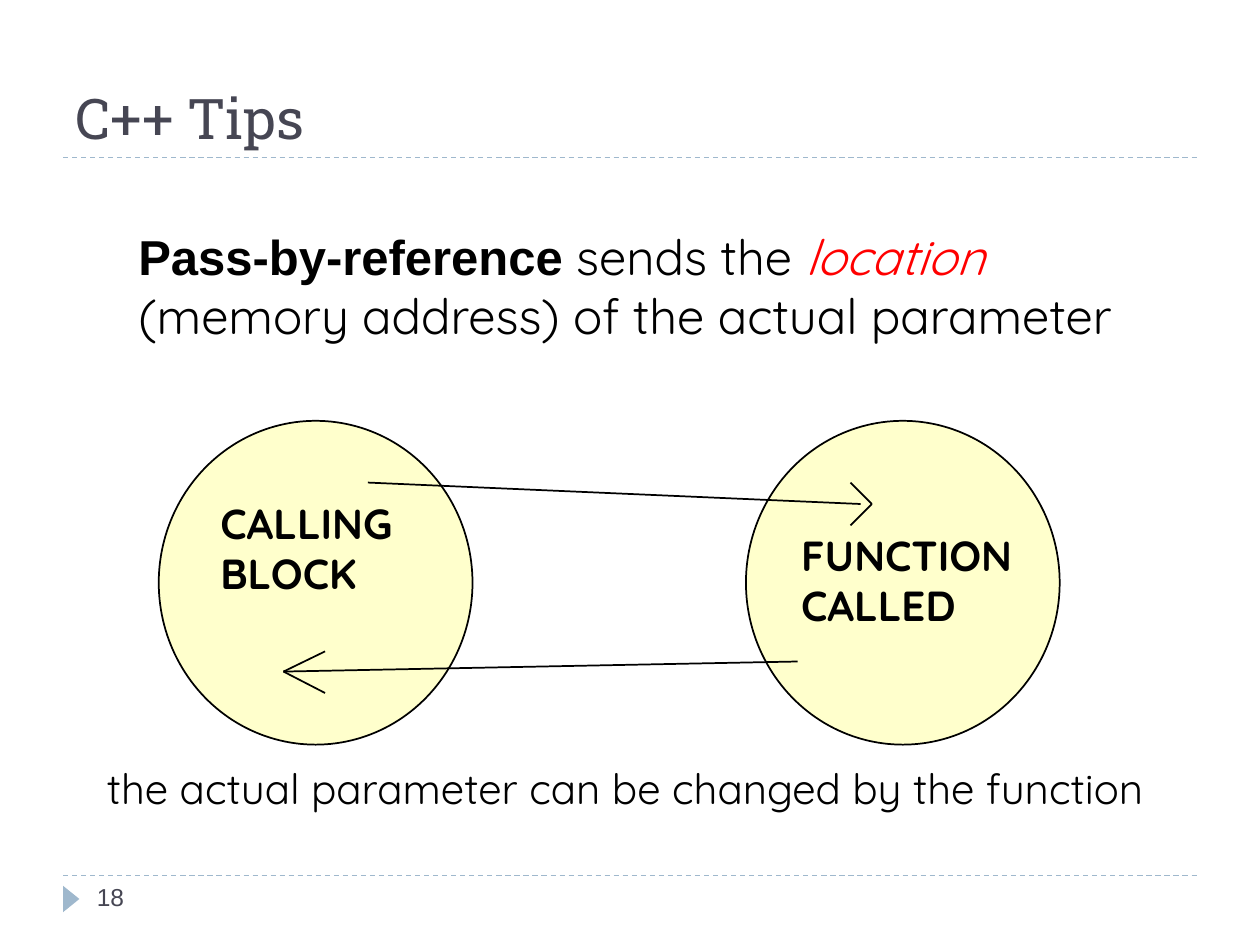
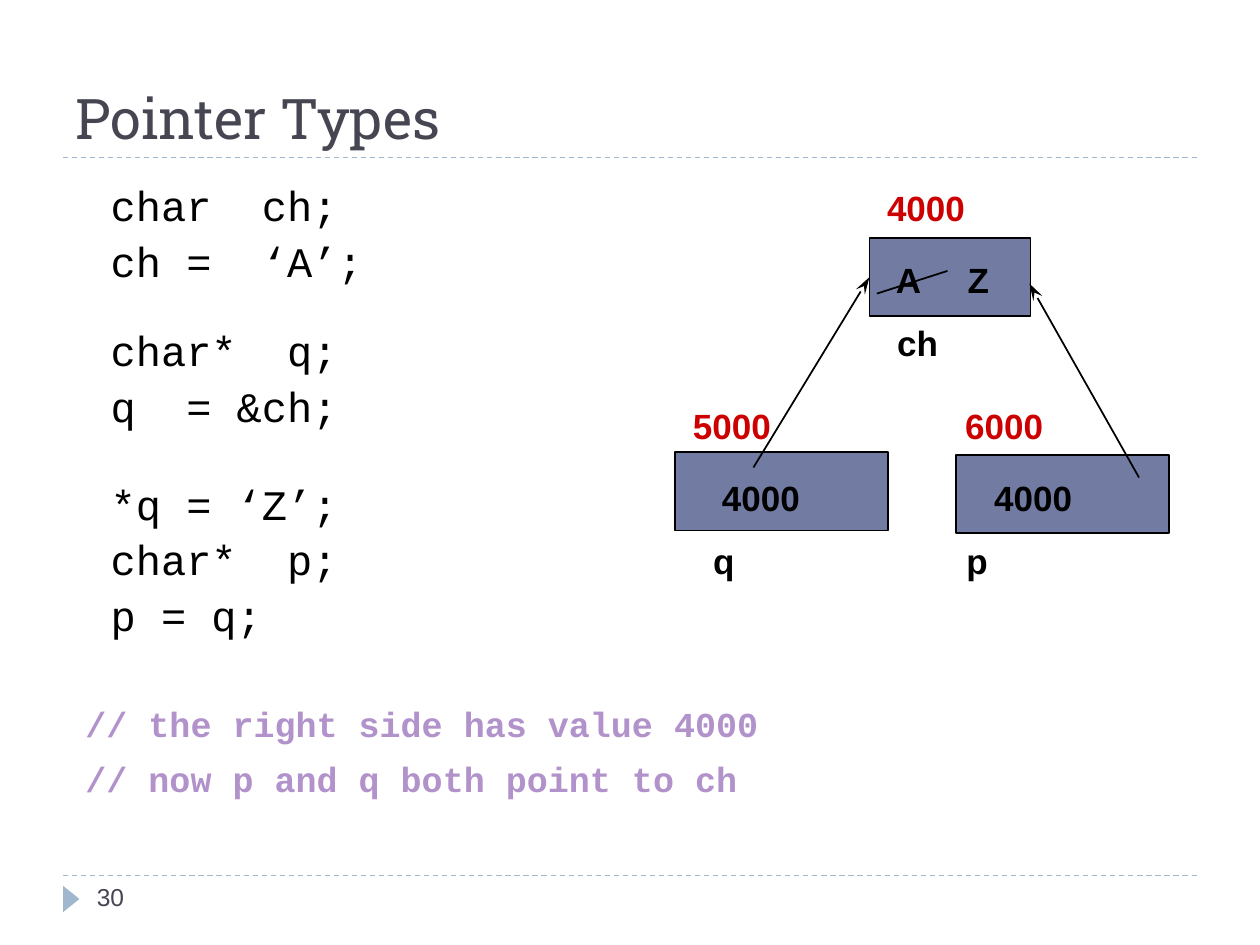
from lxml.etree import SubElement
from pptx import Presentation
from pptx.dml.color import RGBColor
from pptx.enum.dml import MSO_LINE
from pptx.enum.shapes import MSO_CONNECTOR, MSO_SHAPE
from pptx.enum.text import MSO_ANCHOR, MSO_AUTO_SIZE, PP_ALIGN
from pptx.oxml.ns import qn
from pptx.util import Inches, Pt

COLORS = {
    "ink": "000000",
    "heading": "464653",
    "rule": "9FB8CD",
    "circle": "FFFFCC",
    "memory": "727CA3",
    "address": "CC0000",
    "emphasis": "FF0000",
    "comment": "B292CA",
}
HEADING_FONT, BODY_FONT = "Roboto Slab", "Quicksand"
PLAIN_FONT, CODE_FONT = "Arial", "Courier New"
LEFT_SIDE = 1


def color(name):
    return RGBColor.from_string(COLORS[name])


def set_font(font, name, size, ink="ink", bold=False, italic=False):
    font.name, font.size = name, Pt(size)
    font.bold, font.italic = bold, italic
    font.color.rgb = color(ink)


class Deck:
    def __init__(self):
        self.presentation = Presentation()
        self.presentation.slide_width = Inches(10)
        self.presentation.slide_height = Inches(7.5)
        self.slide = None

    def add_slide(self, heading, number):
        """Start a slide with its title, dashed rules and page marker."""
        layout = self.presentation.slide_layouts[5]
        self.slide = self.presentation.slides.add_slide(layout)
        for y in (6.95, 1.25):
            rule = self.line((0.5, y), (9.5, y), "rule", 0.75)
            rule.line.dash_style = MSO_LINE.DASH
        marker = self.shape(MSO_SHAPE.ISOSCELES_TRIANGLE,
                            (0.46, 7.07, 0.21, 0.13), "rule", None)
        marker.rotation = 90
        self.text((0.67, 6.95, 2.17, 0.4), [str(number)], PLAIN_FONT, 14, "heading")

        title = self.slide.shapes.title
        title.left, title.top = Inches(0.5), Inches(0.17)
        title.width, title.height = Inches(9), Inches(1.08)
        frame = title.text_frame
        frame.text = heading
        frame.auto_size = MSO_AUTO_SIZE.NONE
        frame.vertical_anchor = MSO_ANCHOR.BOTTOM
        frame.paragraphs[0].alignment = PP_ALIGN.LEFT
        set_font(frame.paragraphs[0].font, HEADING_FONT, 32, "heading")

    def shape(self, kind, box, fill, outline="ink"):
        shape = self.slide.shapes.add_shape(kind, *map(Inches, box))
        shape.shadow.inherit = False
        shape.fill.solid()
        shape.fill.fore_color.rgb = color(fill)
        if outline:
            shape.line.color.rgb = color(outline)
            shape.line.width = Pt(1)
        else:
            shape.line.fill.background()
        return shape

    def line(self, start, end, ink="ink", width=1):
        line = self.slide.shapes.add_connector(
            MSO_CONNECTOR.STRAIGHT, *map(Inches, start + end))
        line.line.color.rgb = color(ink)
        line.line.width = Pt(width)
        SubElement(line._element.spPr, qn("a:effectLst"))
        return line

    def pointer(self, start, end):
        """Draw a line with a long stealth arrowhead at its end."""
        arrow = self.line(start, end)
        SubElement(arrow.line._get_or_add_ln(), qn("a:tailEnd"),
                   type="stealth", w="med", len="lg")
        return arrow

    def text(self, box, lines, font, size, ink="ink", bold=False):
        frame = self.slide.shapes.add_textbox(*map(Inches, box)).text_frame
        frame.word_wrap = True
        for index, line in enumerate(lines):
            paragraph = frame.paragraphs[0] if index == 0 else frame.add_paragraph()
            paragraph.text = line
            set_font(paragraph.font, font, size, ink, bold)
        return frame

    def label(self, left, middle, wording, ink="ink"):
        """Place a bold one-line label by its left edge and vertical middle."""
        height = 0.4
        frame = self.text((left, middle - height / 2, 0.8, height), [wording],
                          PLAIN_FONT, 20, ink, True)
        frame.margin_left = frame.margin_right = 0
        frame.margin_top = frame.margin_bottom = 0
        frame.vertical_anchor = MSO_ANCHOR.MIDDLE


def build_pass_by_reference(deck):
    deck.add_slide("C++ Tips", 18)
    for left in (1.26, 5.92):
        deck.shape(MSO_SHAPE.OVAL, (left, 3.34, 2.49, 2.57), "circle")
    for left, top, words in ((1.65, 3.9, ["CALLING", "BLOCK"]),
                             (6.26, 4.15, ["FUNCTION", "CALLED"])):
        deck.text((left, top, 2.1, 0.9), words, BODY_FONT, 24, bold=True)

    call_tip, return_tip = (6.92, 4), (2.25, 5.33)
    for start, end in (
        ((2.92, 3.83), (6.83, 4)),
        (call_tip, (6.75, 3.83)),
        (call_tip, (6.75, 4.17)),
        ((6.33, 5.25), return_tip),
        (return_tip, (2.58, 5.17)),
        (return_tip, (2.58, 5.5)),
    ):
        deck.line(start, end)

    statement = deck.text((1, 1.75, 8.17, 1.51),
                          ["", "(memory address) of the actual parameter"],
                          BODY_FONT, 28)
    for wording, font, ink, bold, italic in (
        ("Pass-by-reference ", PLAIN_FONT, "ink", True, False),
        ("sends the ", BODY_FONT, "ink", False, False),
        ("location", BODY_FONT, "emphasis", False, True),
    ):
        run = statement.paragraphs[0].add_run()
        run.text = wording
        set_font(run.font, font, 28, ink, bold, italic)
    deck.text((0.75, 6, 8.83, 0.51),
              ["the actual parameter can be changed by the function"], BODY_FONT, 24)


def build_pointer_types(deck):
    deck.add_slide("Pointer Types", 30)
    code = {
        "char  ch;": 0, "ch =  ‘A’;": 6,
        "char*  q;": 25, "q  = &ch;": 6,
        "*q = ‘Z’;": 30, "char*  p;": 6, "p = q;": 6,
        "// the right side has value 4000": 38,
        "// now p and q both point to ch": 10,
    }
    listing = deck.text((0.58, 1.42, 6.5, 5.21), code, CODE_FONT, 24)
    for paragraph, gap in zip(listing.paragraphs, code.values()):
        paragraph.line_spacing = 0.9
        paragraph.space_before = Pt(gap)
        if paragraph.text.startswith("//"):
            set_font(paragraph.font, CODE_FONT, 20, "comment", True)
        else:
            paragraph._p.get_or_add_pPr().set("marL", str(Inches(0.2)))

    p_cell, ch_cell, q_cell = (
        deck.shape(MSO_SHAPE.RECTANGLE, box, "memory")
        for box in ((7.59, 3.61, 1.69, 0.62),
                    (6.9, 1.89, 1.28, 0.62),
                    (5.36, 3.59, 1.69, 0.62)))
    q_pointer = deck.pointer((5.98, 3.71), (6.9, 2.2))
    q_pointer.end_connect(ch_cell, LEFT_SIDE)
    deck.pointer((9.04, 3.79), (8.17, 2.25))

    for left, middle, address in ((7.04, 1.65, "4000"), (5.5, 3.38, "5000"),
                                  (7.66, 3.38, "6000")):
        deck.label(left, middle, address, "address")
    for left, middle, wording in (
        (7.11, 2.22, "A"), (7.68, 2.22, "Z"), (7.12, 2.72, "ch"),
        (5.73, 3.95, "4000"), (7.89, 3.95, "4000"),
        (5.66, 4.45, "q"), (7.67, 4.45, "p"),
    ):
        deck.label(left, middle, wording)
    deck.line((6.96, 2.33), (7.52, 2.15))


def main():
    deck = Deck()
    build_pass_by_reference(deck)
    build_pointer_types(deck)
    deck.presentation.save("out.pptx")


if __name__ == "__main__":
    main()
